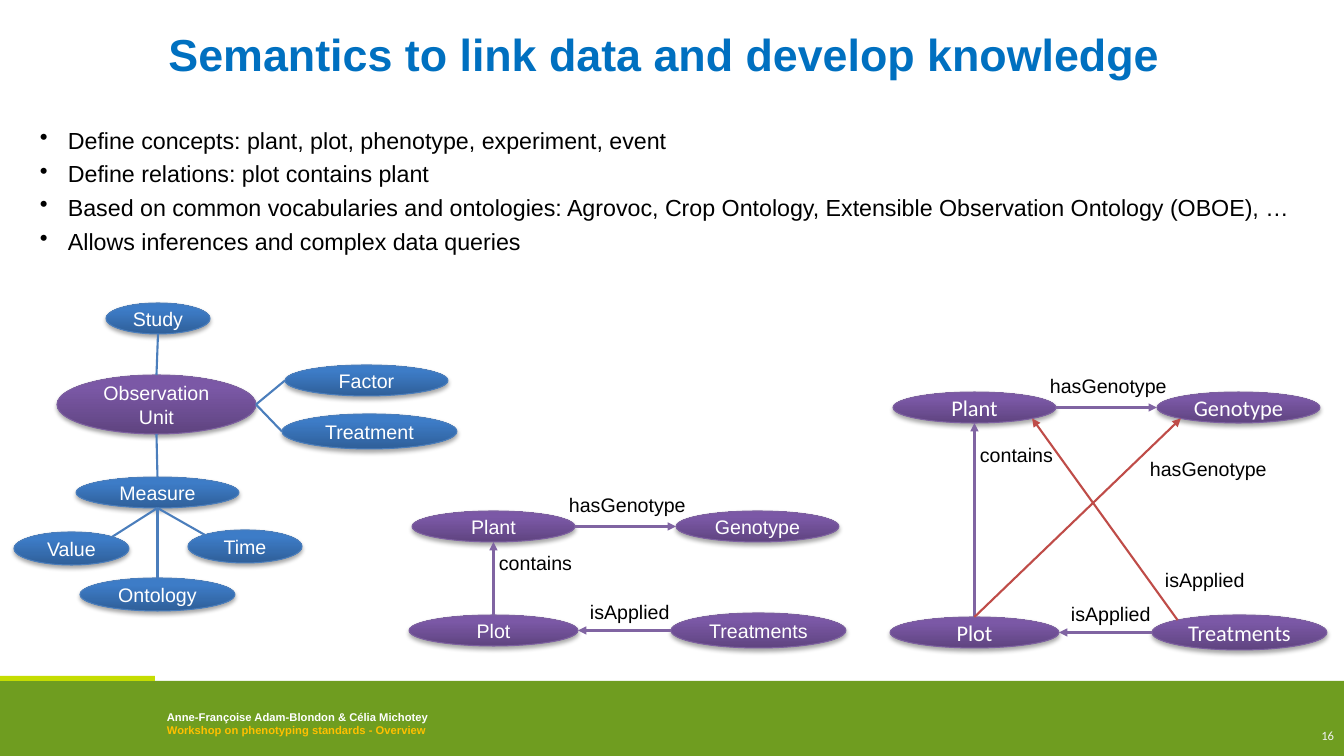
from lxml import etree
from pptx import Presentation, util as u
from pptx.dml.color import RGBColor
from pptx.enum import shapes, text
from pptx.oxml import ns

PX = 914400 / 100.8

WHITE = RGBColor(0xFF, 0xFF, 0xFF)
BLACK = RGBColor(0x00, 0x00, 0x00)
TITLE_BLUE = RGBColor(0x00, 0x70, 0xC0)
BAND_GREEN = RGBColor(0x6F, 0x9D, 0x20)
LIME = RGBColor(0xC5, 0xDD, 0x01)
AMBER = RGBColor(0xFF, 0xC0, 0x00)
PAGE_GREY = RGBColor(0xF2, 0xF2, 0xF2)
EDGE_BLUE = RGBColor(0x4B, 0x7E, 0xBC)
EDGE_PURPLE = RGBColor(0x80, 0x64, 0xA2)
EDGE_RED = RGBColor(0xBF, 0x4C, 0x48)
BLUE = (RGBColor(0x2F, 0x5F, 0x99), RGBColor(0x3D, 0x7C, 0xC7), EDGE_BLUE)
PURPLE = (RGBColor(0x5F, 0x44, 0x80), RGBColor(0x7B, 0x58, 0xA6), RGBColor(0x7D, 0x60, 0xA0))

NEAR, FAR = 0.1464, 0.8536
SITES = {
    "N": (0.5, 0), "NW": (NEAR, NEAR), "W": (0, 0.5), "S": (0.5, 1),
    "SE": (FAR, FAR), "E": (1, 0.5), "NE": (FAR, NEAR), "SW": (NEAR, FAR),
}

BULLETS = [
    "Define concepts: plant, plot, phenotype, experiment, event",
    "Define relations: plot contains plant",
    "Based on common vocabularies and ontologies: Agrovoc, Crop Ontology, "
    "Extensible Observation Ontology (OBOE), …",
    "Allows inferences and complex data queries",
]

OBSERVATION_NODES = {
    "Study": (106, 303, 104, 31),
    "Observation Unit": (57, 375, 199, 59),
    "Measure": (76, 477, 163, 31),
    "Value": (14, 532, 115, 33),
    "Ontology": (80, 578, 155, 33),
    "Time": (188, 530, 114, 33),
    "Treatment": (282, 414, 175, 35),
    "Factor": (285, 365, 163, 31),
}
OBSERVATION_EDGES = [
    ("Study", "S", "Observation Unit", "N"),
    ("Observation Unit", "S", "Measure", "N"),
    ("Measure", "S", "Ontology", "N"),
    ("Value", "NE", "Measure", "S"),
    ("Measure", "S", "Time", "NW"),
    ("Observation Unit", "E", "Treatment", "W"),
    ("Observation Unit", "E", "Factor", "W"),
]


def px(*lengths):
    return [u.Emu(round(length * PX)) for length in lengths]


def apply_format(target, values):
    for name, value in values.items():
        setattr(target, name, value)


def write(paragraph, words, color, size, face="Arial", bold=False):
    paragraph.text = words
    apply_format(paragraph.font, {"name": face, "size": u.Pt(size), "bold": bold})
    paragraph.font.color.rgb = color


def add_title(slide, words):
    title = slide.shapes.title
    left, top, width, height = px(148, 4, 1033, 100)
    apply_format(title, {"left": left, "top": top, "width": width, "height": height})
    title.text_frame.vertical_anchor = text.MSO_ANCHOR.MIDDLE
    heading = title.text_frame.paragraphs[0]
    write(heading, words, TITLE_BLUE, 32, bold=True)
    heading.alignment = text.PP_ALIGN.CENTER


def add_band(slide, box, color):
    band = slide.shapes.add_shape(shapes.MSO_SHAPE.RECTANGLE, *px(*box))
    band.shadow.inherit = False
    band.fill.solid()
    band.fill.fore_color.rgb = color
    band.line.fill.background()


def add_text_frame(slide, box, fill=None):
    area = slide.shapes.add_textbox(*px(*box))
    area.text_frame.word_wrap = True
    if fill is not None:
        area.fill.solid()
        area.fill.fore_color.rgb = fill
    return area.text_frame


def add_label(slide, words, left, top, width, fill=WHITE):
    frame = add_text_frame(slide, (left, top, width, 38), fill)
    write(frame.paragraphs[0], words, BLACK, 14)


def add_bullets(slide, items):
    frame = add_text_frame(slide, (30, 121, 1280, 146))
    for index, item in enumerate(items):
        paragraph = frame.add_paragraph() if index else frame.paragraphs[0]
        properties = paragraph._p.get_or_add_pPr()
        indent, = px(28)
        properties.set("marL", str(indent))
        properties.set("indent", str(-indent))
        etree.SubElement(properties, ns.qn("a:buChar"), char="•")
        write(paragraph, item, BLACK, 16.6)
        if index:
            paragraph.space_before = u.Pt(4.2)


def add_node(slide, words, box, palette, face="Arial", size=14):
    node = slide.shapes.add_shape(shapes.MSO_SHAPE.OVAL, *px(*box))
    dark, light, outline = palette
    node.fill.gradient()
    node.fill.gradient_angle = 90
    for stop, color, position in zip(node.fill.gradient_stops, (dark, light), (0, 0.8)):
        stop.color.rgb = color
        stop.position = position
    node.line.color.rgb = outline
    node.line.width = u.Pt(0.75)
    node.shadow.inherit = False
    effects = node._element.spPr.find(ns.qn("a:effectLst"))
    shade = etree.SubElement(effects, ns.qn("a:outerShdw"), blurRad="40000",
                             dist="23000", dir="5400000", rotWithShape="0")
    black = etree.SubElement(shade, ns.qn("a:srgbClr"), val="000000")
    etree.SubElement(black, ns.qn("a:alpha"), val="35000")
    inset, = px(4)
    apply_format(node.text_frame, {
        "word_wrap": True, "vertical_anchor": text.MSO_ANCHOR.MIDDLE,
        "margin_left": inset, "margin_right": inset,
        "margin_top": 0, "margin_bottom": 0,
    })
    caption = node.text_frame.paragraphs[0]
    write(caption, words, WHITE, size, face)
    caption.alignment = text.PP_ALIGN.CENTER


def site_point(box, site):
    left, top, width, height = box
    across, down = SITES[site]
    return px(left + width * across, top + height * down)


def add_edge(slide, nodes, edge, color, arrow=True):
    source, source_site, target, target_site = edge
    link = slide.shapes.add_connector(
        shapes.MSO_CONNECTOR.STRAIGHT,
        *site_point(nodes[source], source_site),
        *site_point(nodes[target], target_site))
    link.line.color.rgb = color
    link.line.width = u.Pt(1.5)
    if arrow:
        etree.SubElement(link.line._get_or_add_ln(), ns.qn("a:tailEnd"), type="triangle")
    etree.SubElement(link._element.spPr, ns.qn("a:effectLst"))


def add_observation_model(slide):
    for name, box in OBSERVATION_NODES.items():
        palette = PURPLE if name == "Observation Unit" else BLUE
        add_node(slide, name, box, palette)
    for edge in OBSERVATION_EDGES:
        add_edge(slide, OBSERVATION_NODES, edge, EDGE_BLUE, arrow=False)


def add_plant_graph(slide, left, plant_top, plot_top, contains_top, face, size):
    nodes = {
        "Plant": (left + 3, plant_top, 163, 31),
        "Plot": (left, plot_top, 169, 31),
        "Genotype": (left + 267, plant_top, 163, 31),
        "Treatments": (left + 262, plot_top - 2, 175, 35),
    }
    add_label(slide, "isApplied", left + 171, plot_top - 20, 114)
    add_label(slide, "contains", left + 80, contains_top, 114)
    add_label(slide, "hasGenotype", left + 150, plant_top - 23, 169)
    for name, box in nodes.items():
        add_node(slide, name, box, PURPLE, face, size)
    for edge in [("Treatments", "W", "Plot", "E"), ("Plot", "N", "Plant", "S"),
                 ("Plant", "E", "Genotype", "W")]:
        add_edge(slide, nodes, edge, EDGE_PURPLE)
    return nodes


def add_footer(slide):
    add_band(slide, (0, 681, 1344, 75), BAND_GREEN)
    add_band(slide, (0, 676, 155, 5), LIME)
    credits = add_text_frame(slide, (157, 705, 456, 37))
    write(credits.paragraphs[0], "Anne-Françoise Adam-Blondon & Célia Michotey",
          WHITE, 8, bold=True)
    write(credits.add_paragraph(), "Workshop on phenotyping standards - Overview",
          AMBER, 8, bold=True)
    page = add_text_frame(slide, (1030, 716, 314, 40))
    page.vertical_anchor = text.MSO_ANCHOR.MIDDLE
    write(page.paragraphs[0], "16", PAGE_GREY, 9, "Calibri")
    page.paragraphs[0].alignment = text.PP_ALIGN.RIGHT


def main():
    deck = Presentation()
    deck.slide_width, deck.slide_height = px(1344, 756)
    slide = deck.slides.add_slide(deck.slide_layouts[5])
    add_footer(slide)
    add_title(slide, "Semantics to link data and develop knowledge")
    add_bullets(slide, BULLETS)
    add_observation_model(slide)
    add_plant_graph(slide, 409, 511, 615, 546, "Arial", 14)
    inferred = add_plant_graph(slide, 890, 392, 617, 438, "Calibri", 16)
    add_edge(slide, inferred, ("Treatments", "NW", "Plant", "SE"), EDGE_RED)
    add_label(slide, "isApplied", 1155, 563, 114, fill=None)
    add_label(slide, "hasGenotype", 1140, 452, 169)
    add_edge(slide, inferred, ("Plot", "N", "Genotype", "SW"), EDGE_RED)
    deck.save("out.pptx")


if __name__ == "__main__":
    main()
